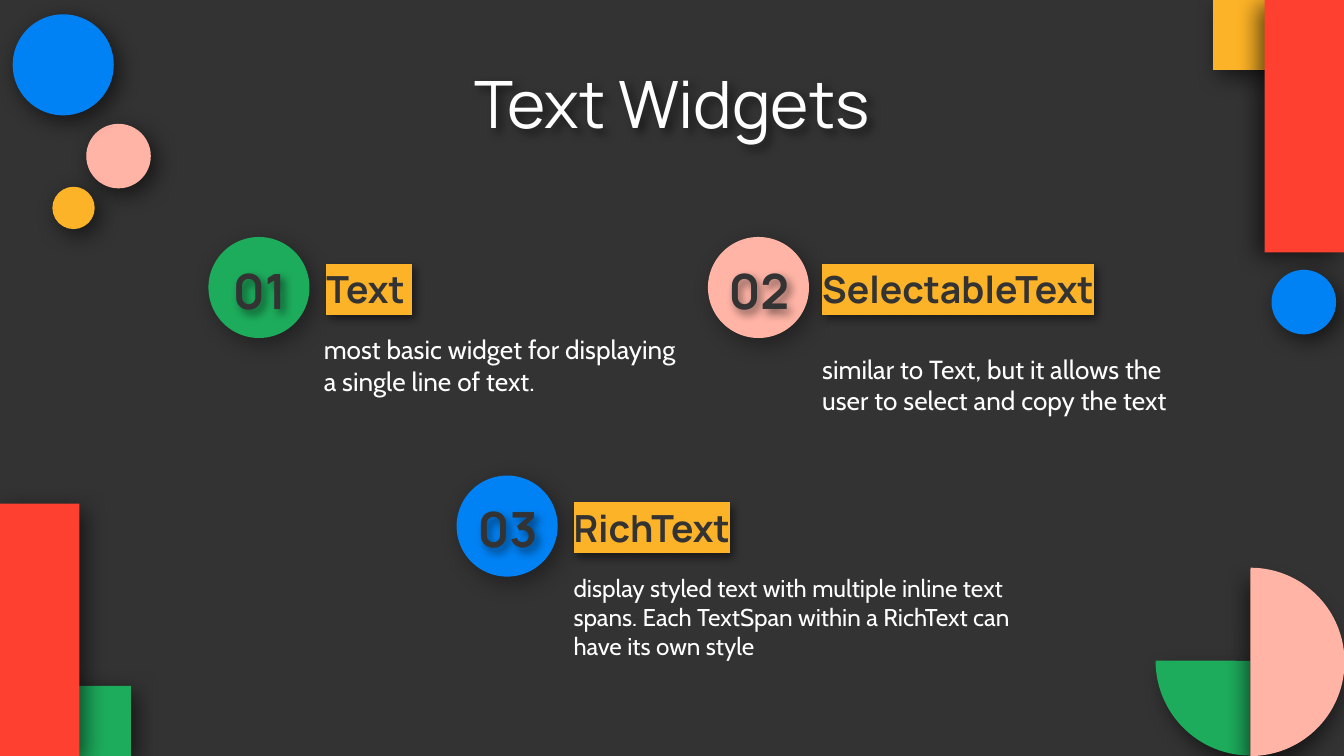
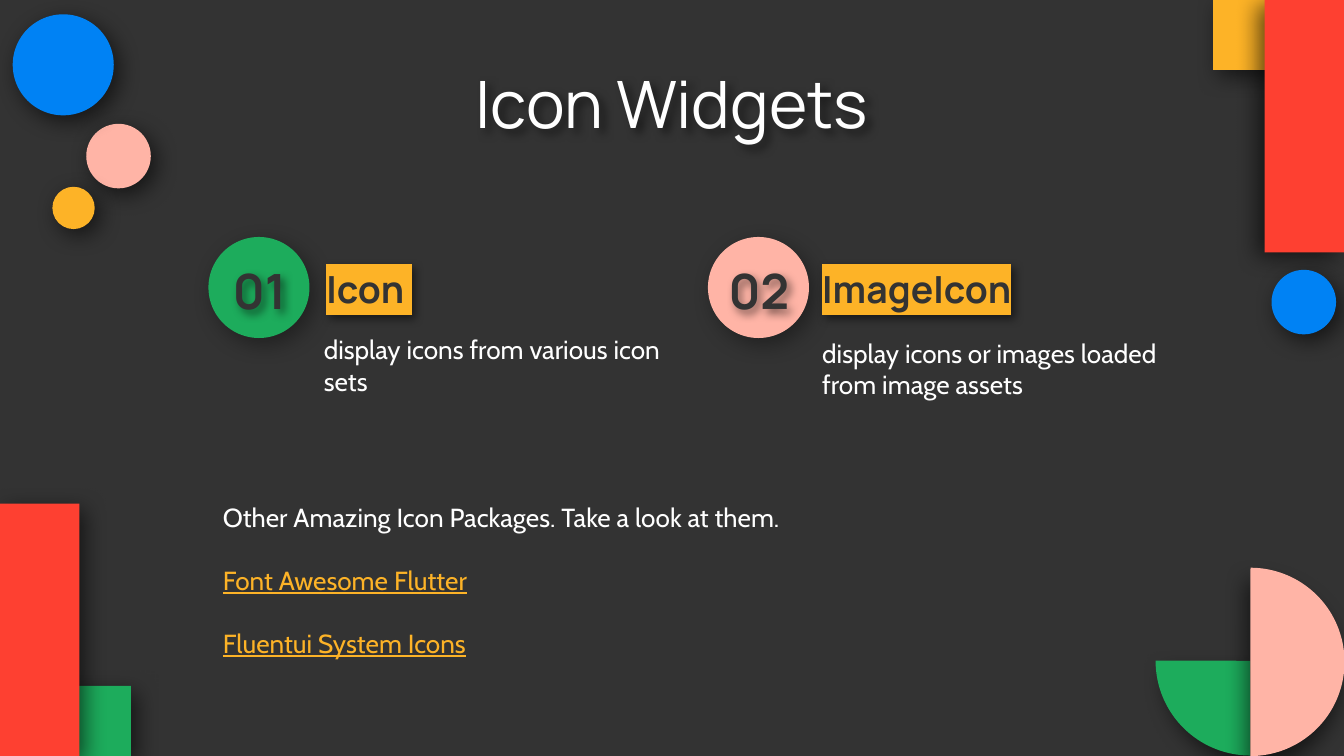
from dataclasses import dataclass
from typing import NamedTuple

from lxml.etree import SubElement
from pptx import Presentation
from pptx.dml.color import RGBColor
from pptx.enum.shapes import MSO_SHAPE as Preset
from pptx.enum.text import MSO_ANCHOR as Anchor
from pptx.enum.text import MSO_AUTO_SIZE as Fit
from pptx.enum.text import PP_ALIGN as Align
from pptx.oxml.ns import qn
from pptx.util import Cm, Pt

DARK, WHITE = "333333", "FFFFFF"
BLUE, GREEN, RED = "0082F4", "1DAC5C", "FE4031"
PINK, YELLOW = "FFB4A6", "FDB327"
HEADING_FONT, BODY_FONT = "Manrope", "Cabin"
INSET = 0.25
CIRCLE = 1.91


class Area(NamedTuple):
    left: float
    top: float
    width: float
    height: float


class Shadow(NamedTuple):
    opacity: int = 59
    blur: float = 12.4
    distance: float = 4.5
    angle: int = 50


@dataclass
class Decoration:
    preset: Preset
    area: Area
    colour: str
    rotation: int = 0
    shadow: Shadow = Shadow()
    adjustments: tuple = ()
    flipped: bool = False


@dataclass
class TextStyle:
    font: str
    size: float
    colour: str
    bold: bool = False
    underline: bool = False
    highlight: str = ""


@dataclass
class Slot:
    number: str
    colour: str
    left: float
    top: float
    label_left: float
    label_width: float
    note_left: float
    note_top: float
    note_width: float


@dataclass
class Widget:
    slot: Slot
    label: str
    note: str
    note_height: float = 1.7
    note_size: float = 14


CIRCLE_SHADOW = Shadow(opacity=37)
TEXT_SHADOW = Shadow(opacity=50, blur=5, distance=3)
TITLE = TextStyle(HEADING_FONT, 35, WHITE)
NUMBER = TextStyle(HEADING_FONT, 26, DARK, bold=True)
LABEL = TextStyle(HEADING_FONT, 20, DARK, bold=True, highlight=YELLOW)
NOTE = TextStyle(BODY_FONT, 14, WHITE)
PACKAGE = TextStyle(BODY_FONT, 14, YELLOW, underline=True)

DECORATIONS = [
    Decoration(Preset.OVAL, Area(1.63, 2.34, 1.22, 1.22), PINK, 180),
    Decoration(Preset.OVAL, Area(0.24, 0.27, CIRCLE, CIRCLE), BLUE, 180),
    Decoration(Preset.OVAL, Area(0.99, 3.53, 0.8, 0.8), YELLOW, 180),
    Decoration(Preset.RECTANGLE, Area(1.06, 12.88, 1.33, 1.5), GREEN, 270),
    Decoration(Preset.RECTANGLE, Area(0, 9.52, 1.5, 4.77), RED),
    Decoration(Preset.PIE, Area(21.84, 10.7, 3.58, 3.58), GREEN, 180,
               Shadow(distance=7.5), (107.93, 162), True),
    Decoration(Preset.PIE, Area(21.85, 10.73, 3.56, 3.56), PINK, 180,
               Shadow(distance=7.5, angle=107), (54.05, 162)),
    Decoration(Preset.RECTANGLE, Area(23.01, -0.09, 1.33, 1.5), YELLOW, 90),
    Decoration(Preset.RECTANGLE, Area(23.9, 0, 1.5, 4.77), RED, 180,
               Shadow(angle=149)),
    Decoration(Preset.OVAL, Area(24.03, 5.1, 1.22, 1.22), BLUE, 180),
]

FIRST = Slot("01", GREEN, 3.94, 4.48, 5.92, 2.87, 5.87, 6.05, 7.42)
SECOND = Slot("02", PINK, 13.38, 4.48, 15.29, 6.22, 15.29, 6.12, 7.04)
THIRD = Slot("03", BLUE, 8.63, 8.99, 10.59, 6.22, 10.59, 10.57, 8.84)

TEXT_WIDGETS = [
    Widget(FIRST, "Text ",
           "most basic widget for displaying a single line of text."),
    Widget(SECOND, "SelectableText",
           "similar to Text, but it allows the user to select and copy the text",
           2.31),
    Widget(THIRD, "RichText",
           "display styled text with multiple inline text spans. "
           "Each TextSpan within a RichText can have its own style", 2.18, 13),
]
ICON_WIDGETS = [
    Widget(FIRST, "Icon ", "display icons from various icon sets"),
    Widget(SECOND, "ImageIcon",
           "display icons or images loaded from image assets"),
]
PACKAGE_LINES = [
    ("Other Amazing Icon Packages. Take a look at them.", NOTE),
    ("Font Awesome Flutter", PACKAGE),
    ("Fluentui System Icons", PACKAGE),
]


def rgb(colour: str) -> RGBColor:
    return RGBColor.from_string(colour)


def lengths(area: Area) -> list:
    return [Cm(value) for value in area]


def cast_shadow(shape, shadow: Shadow) -> None:
    shape.shadow.inherit = False
    effects = shape.element.spPr.find(qn("a:effectLst"))
    outer = SubElement(effects, qn("a:outerShdw"),
                       blurRad=str(int(Pt(shadow.blur))),
                       dist=str(int(Pt(shadow.distance))),
                       dir=str(shadow.angle * 60000),
                       algn="bl", rotWithShape="0")
    tint = SubElement(outer, qn("a:srgbClr"), val="000000")
    SubElement(tint, qn("a:alpha"), val=str(shadow.opacity * 1000))


def add_figure(page, figure: Decoration):
    shape = page.shapes.add_shape(figure.preset, *lengths(figure.area))
    shape.fill.solid()
    shape.fill.fore_color.rgb = rgb(figure.colour)
    shape.line.fill.background()
    shape.rotation = figure.rotation
    for index, value in enumerate(figure.adjustments):
        shape.adjustments[index] = value
    if figure.flipped:
        shape.element.spPr.find(qn("a:xfrm")).set("flipH", "1")
    cast_shadow(shape, figure.shadow)
    return shape


def prepare_frame(box, anchor: Anchor, fit: Fit = Fit.NONE,
                  right: float = INSET) -> None:
    frame = box.text_frame
    frame.word_wrap = True
    frame.auto_size = fit
    frame.vertical_anchor = anchor
    frame.margin_left = frame.margin_top = frame.margin_bottom = Cm(INSET)
    frame.margin_right = Cm(right)


def add_span(para, text: str, style: TextStyle) -> None:
    span = para.add_run()
    span.text = text
    font = span.font
    font.name = style.font
    font.size = Pt(style.size)
    font.bold = style.bold
    font.underline = style.underline
    font.color.rgb = rgb(style.colour)


def highlight_spans(box, colour: str) -> None:
    for properties in box.element.iter(qn("a:rPr")):
        mark = SubElement(properties, qn("a:highlight"))
        SubElement(mark, qn("a:srgbClr"), val=colour)
        properties.find(qn("a:solidFill")).addnext(mark)


def add_text(page, area: Area, text: str, style: TextStyle,
             anchor: Anchor = Anchor.MIDDLE, align: Align = Align.LEFT,
             fit: Fit = Fit.NONE, right: float = INSET):
    box = page.shapes.add_textbox(*lengths(area))
    prepare_frame(box, anchor, fit, right)
    para = box.text_frame.paragraphs[0]
    para.alignment = align
    add_span(para, text, style)
    if style.highlight:
        highlight_spans(box, style.highlight)
    return box


def move(shape, area: Area) -> None:
    shape.left, shape.top, shape.width, shape.height = lengths(area)


def set_title(page, text: str) -> None:
    title = page.shapes.title
    move(title, Area(2, 1.13, 21.4, 1.6))
    prepare_frame(title, Anchor.MIDDLE)
    para = title.text_frame.paragraphs[0]
    para.alignment = Align.CENTER
    add_span(para, text, TITLE)
    cast_shadow(title, TEXT_SHADOW)


def add_widget(page, widget: Widget) -> None:
    slot = widget.slot
    add_figure(page, Decoration(
        Preset.OVAL, Area(slot.left, slot.top, CIRCLE, CIRCLE),
        slot.colour, shadow=CIRCLE_SHADOW))
    label = add_text(
        page, Area(slot.label_left, slot.top + 0.28, slot.label_width, 1.37),
        widget.label, LABEL, Anchor.BOTTOM, fit=Fit.SHAPE_TO_FIT_TEXT, right=0)
    number = add_text(
        page, Area(slot.left - 0.05, slot.top + 0.41, 2.03, 1.17),
        slot.number, NUMBER, align=Align.CENTER)
    for box in (label, number):
        cast_shadow(box, TEXT_SHADOW)
    add_text(
        page,
        Area(slot.note_left, slot.note_top, slot.note_width, widget.note_height),
        widget.note, TextStyle(BODY_FONT, widget.note_size, WHITE),
        fit=Fit.SHAPE_TO_FIT_TEXT)


def fill_packages(page) -> None:
    body = page.placeholders[1]
    move(body, Area(3.96, 9.22, 17.55, 3.33))
    prepare_frame(body, Anchor.TOP)
    frame = body.text_frame
    for index, (text, style) in enumerate(PACKAGE_LINES):
        para = frame.add_paragraph() if index else frame.paragraphs[0]
        para.space_before = Pt(17 if index else 0)
        add_span(para, text, style)
    for element in body.element.iter(qn("a:p")):
        properties = element.get_or_add_pPr()
        properties.set("marL", "0")
        properties.set("indent", "0")
        SubElement(properties, qn("a:buNone"))


def decorate_master(master, page) -> None:
    master.background.fill.solid()
    master.background.fill.fore_color.rgb = rgb(DARK)
    for index, figure in enumerate(DECORATIONS, 100):
        shape = add_figure(page, figure)
        shape.element.nvSpPr.cNvPr.set("id", str(index))
        master.shapes.element.append(shape.element)


def add_page(deck, layout: int, title: str, widgets: list):
    page = deck.slides.add_slide(deck.slide_layouts[layout])
    set_title(page, title)
    for widget in widgets:
        add_widget(page, widget)
    return page


def main() -> None:
    deck = Presentation()
    deck.slide_width, deck.slide_height = Cm(25.4), Cm(14.29)
    text_page = add_page(deck, 5, "Text Widgets", TEXT_WIDGETS)
    decorate_master(deck.slide_master, text_page)
    icon_page = add_page(deck, 1, "Icon Widgets", ICON_WIDGETS)
    fill_packages(icon_page)
    deck.save("out.pptx")


if __name__ == "__main__":
    main()
